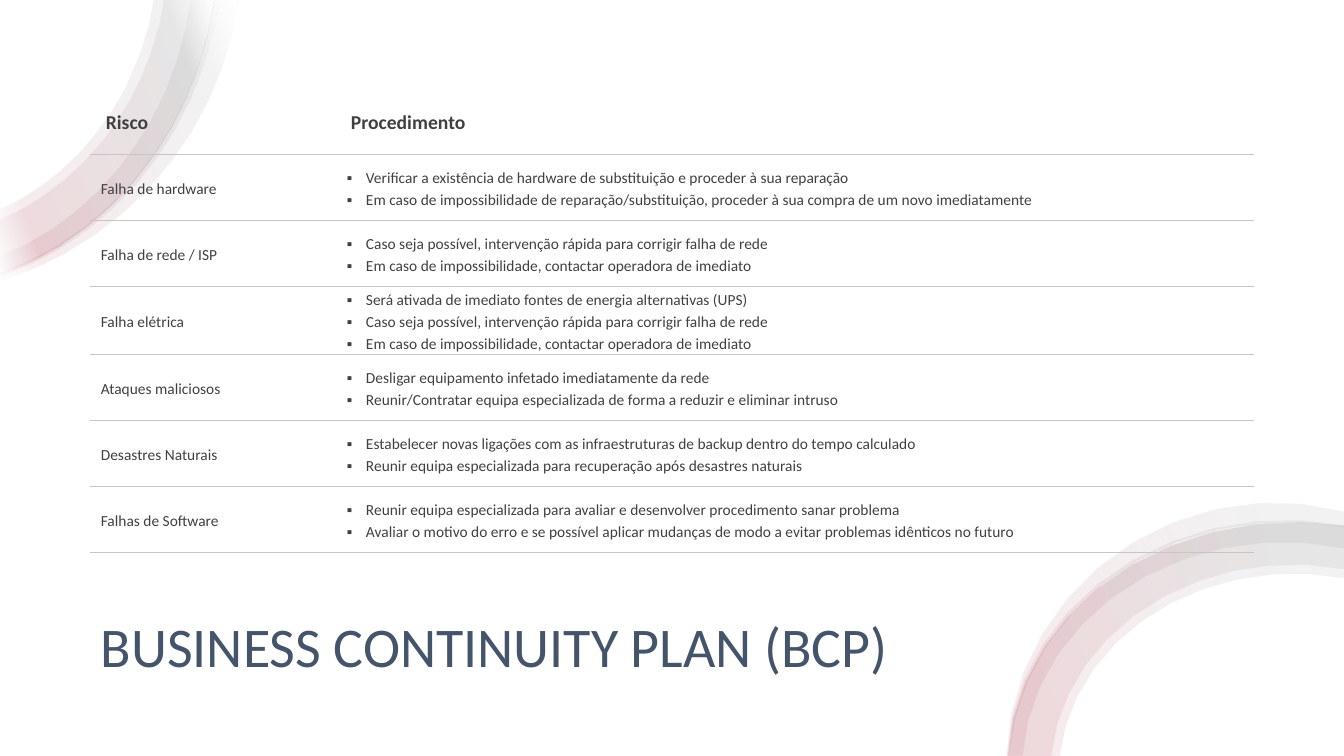
from math import acos, asin, cos, pi, sin

from pptx import Presentation
from pptx.dml.color import RGBColor
from pptx.enum.shapes import MSO_SHAPE
from pptx.enum.text import MSO_ANCHOR, PP_ALIGN
from pptx.oxml import parse_xml
from pptx.oxml.ns import nsdecls, qn
from pptx.util import Inches, Pt

# Content
TITLE = "BUSINESS CONTINUITY PLAN (BCP)"
HEADINGS = ["Risco", "Procedimento"]
RISKS = [
    ("Falha de hardware", [
        "Verificar a existência de hardware de substituição e proceder à sua reparação",
        "Em caso de impossibilidade de reparação/substituição, proceder à sua compra de um novo imediatamente"]),
    ("Falha de rede / ISP", [
        "Caso seja possível, intervenção rápida para corrigir falha de rede",
        "Em caso de impossibilidade, contactar operadora de imediato"]),
    ("Falha elétrica", [
        "Será ativada de imediato fontes de energia alternativas (UPS)",
        "Caso seja possível, intervenção rápida para corrigir falha de rede",
        "Em caso de impossibilidade, contactar operadora de imediato"]),
    ("Ataques maliciosos", [
        "Desligar equipamento infetado imediatamente da rede",
        "Reunir/Contratar equipa especializada de forma a reduzir e eliminar intruso"]),
    ("Desastres Naturais", [
        "Estabelecer novas ligações com as infraestruturas de backup dentro do tempo calculado",
        "Reunir equipa especializada para recuperação após desastres naturais"]),
    ("Falhas de Software", [
        "Reunir equipa especializada para avaliar e desenvolver procedimento sanar problema",
        "Avaliar o motivo do erro e se possível aplicar mudanças de modo a evitar problemas idênticos no futuro"]),
]

# Format
FONT = "Calibri"
WIDTH, HEIGHT = 13.33, 7.5
TITLE_COLOR = RGBColor(0x44, 0x54, 0x6A)
TEXT_COLOR = RGBColor(0x40, 0x40, 0x40)
RULE_COLOR = RGBColor(0xC7, 0xC6, 0xC1)
WHITE = RGBColor(0xFF, 0xFF, 0xFF)
GREY = RGBColor(0x7F, 0x7F, 0x7F)
RED = RGBColor(0xA5, 0x3F, 0x52)
COLUMNS = [2.43, 9.12]
ROWS = [0.66, 0.66, 0.65, 0.68, 0.65, 0.66, 0.65]

# Rings: outer and inner ellipse of each band, as centre x, centre y, radius x, radius y
TOP_BANDS = [
    ((-1, -0.47, 3.4, 3.4), (-1, -0.47, 3.15, 3.34)),
    ((-1, -0.47, 3.15, 3.37), (-1, -0.47, 2.56, 2.77)),
    ((-1, -0.47, 3.2, 3.38), (-1, -0.47, 2.92, 3.2)),
    ((-1, -0.47, 3.15, 3.37), (-1, -0.47, 2.66, 2.86)),
]
BOTTOM_BANDS = [
    ((12.82, 7.6, 2.82, 2.42), (12.82, 7.69, 2.32, 2)),
    ((12.82, 7.6, 2.82, 2.42), (12.82, 7.67, 2.4, 2.07)),
    ((12.75, 7.58, 2.76, 2.42), (12.72, 7.63, 2.58, 2.25)),
    ((12.64, 7.59, 2.66, 2.6), (12.75, 7.68, 2.75, 2.5)),
]
TOP_STOPS = [(2, WHITE), (16, GREY), (85, RED), (100, WHITE)]
BOTTOM_STOPS = [(0, GREY), (16, GREY), (85, RED), (100, RED)]


def write(frame, lines, size, color, bold=False, spacing=1.15, bullet=None):
    for index, line in enumerate(lines):
        para = frame.paragraphs[0] if index == 0 else frame.add_paragraph()
        para.alignment = PP_ALIGN.LEFT
        para.line_spacing = spacing
        span = para.add_run()
        span.text = line
        span.font.name, span.font.size, span.font.bold = FONT, Pt(size), bold
        span.font.color.rgb = color
        if bullet:
            props = para._p.get_or_add_pPr()
            props.set("marL", str(Inches(0.19)))
            props.set("indent", str(-Inches(0.19)))
            props.append(parse_xml(f'<a:buFont {nsdecls("a")} typeface="{FONT}"/>'))
            props.append(parse_xml(f'<a:buChar {nsdecls("a")} char="{bullet}"/>'))


def arc(ellipse, at_top, steps=11):
    """Points of an ellipse between the two page edges it crosses."""
    center_x, center_y, radius_x, radius_y = ellipse
    if at_top:
        start, end = asin(-center_y / radius_y), acos(-center_x / radius_x)
    else:
        start = -acos((WIDTH - center_x) / radius_x)
        end = asin((center_y - HEIGHT) / radius_y) - pi
    angles = [start + (end - start) * step / steps for step in range(steps + 1)]
    return [(Inches(center_x + radius_x * cos(angle)),
             Inches(center_y + radius_y * sin(angle))) for angle in angles]


def add_band(page, outer, inner, at_top, stops):
    points = arc(outer, at_top) + arc(inner, at_top)[::-1]
    builder = page.shapes.build_freeform(*points[0], scale=1.0)
    builder.add_line_segments(points[1:], close=True)
    band = builder.convert_to_shape()
    band.shadow.inherit = False
    band.line.fill.background()
    band.fill.background()
    marks = "".join(
        f'<a:gs pos="{place * 1000}"><a:srgbClr val="{color}">'
        f'<a:alpha val="10000"/></a:srgbClr></a:gs>' for place, color in stops)
    gradient = parse_xml(
        f'<a:gradFill {nsdecls("a")} rotWithShape="1"><a:gsLst>{marks}</a:gsLst>'
        f'<a:lin ang="{160 * 60000}" scaled="0"/></a:gradFill>')
    props = band._element.spPr
    props.replace(props.find(qn("a:noFill")), gradient)


def format_cell(cell, insets, is_header):
    cell.vertical_anchor = MSO_ANCHOR.MIDDLE
    cell.margin_left, cell.margin_top, cell.margin_right, cell.margin_bottom = map(Inches, insets)
    cell.fill.background()
    rule = f'<a:solidFill><a:srgbClr val="{RULE_COLOR}"/></a:solidFill>'
    blank = "<a:noFill/>"
    sides = {"lnL": blank, "lnR": blank, "lnT": blank if is_header else rule, "lnB": rule}
    for index, (side, paint) in enumerate(sides.items()):
        cell._tc.get_or_add_tcPr().insert(index, parse_xml(
            f'<a:{side} {nsdecls("a")} w="{Pt(0.75)}">{paint}</a:{side}>'))


def main():
    deck = Presentation()
    deck.slide_width, deck.slide_height = Inches(WIDTH), Inches(HEIGHT)
    page = deck.slides.add_slide(deck.slide_layouts[5])

    # White backdrop, behind the title
    backdrop = page.shapes.add_shape(MSO_SHAPE.RECTANGLE, 0, 0, Inches(WIDTH), Inches(HEIGHT))
    backdrop.shadow.inherit = False
    backdrop.fill.solid()
    backdrop.fill.fore_color.rgb = WHITE
    backdrop.line.fill.background()
    title = page.shapes.title
    title._element.addprevious(backdrop._element)

    # Title
    title.left, title.top, title.width, title.height = map(Inches, (0.9, 6.02, 11.64, 0.85))
    title.text_frame.vertical_anchor = MSO_ANCHOR.MIDDLE
    write(title.text_frame, [TITLE], 40, TITLE_COLOR, spacing=0.9)

    # Corner rings
    for outer, inner in TOP_BANDS:
        add_band(page, outer, inner, True, TOP_STOPS)
    for outer, inner in BOTTOM_BANDS:
        add_band(page, outer, inner, False, BOTTOM_STOPS)

    # Risk table
    table = page.shapes.add_table(
        len(ROWS), len(COLUMNS), Inches(0.89), Inches(0.87),
        Inches(sum(COLUMNS)), Inches(sum(ROWS))).table
    table.first_row = table.horz_banding = False
    for column, width in zip(table.columns, COLUMNS):
        column.width = Inches(width)
    for row, height in zip(table.rows, ROWS):
        row.height = Inches(height)
    for column, heading in enumerate(HEADINGS):
        cell = table.cell(0, column)
        format_cell(cell, (0.16, 0.08, 0.12, 0.08), True)
        write(cell.text_frame, [heading], 14, TEXT_COLOR, bold=True)
    for row, (risk, steps) in enumerate(RISKS, 1):
        name, procedure = table.cell(row, 0), table.cell(row, 1)
        format_cell(name, (0.11, 0.11, 0.11, 0.11), False)
        write(name.text_frame, [risk], 11, TEXT_COLOR)
        format_cell(procedure, (0.12, 0, 0.12, 0), False)
        write(procedure.text_frame, steps, 11, TEXT_COLOR, bullet="▪")

    deck.save("out.pptx")


if __name__ == "__main__":
    main()
